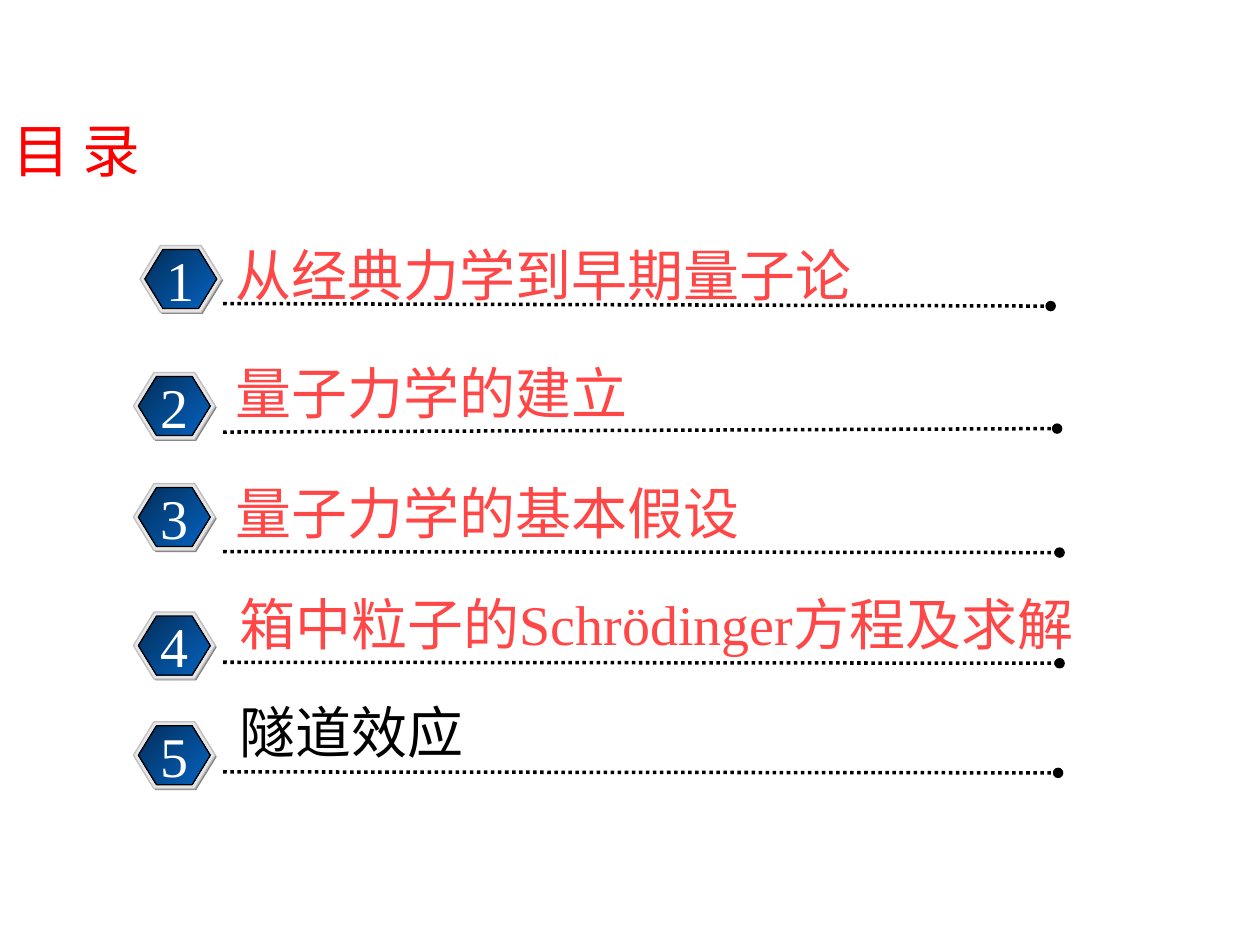
from dataclasses import dataclass

from lxml import etree
from pptx import Presentation
from pptx import util as u
from pptx.dml import color
from pptx.enum import dml, shapes, text
from pptx.oxml import ns

Cm, Pt = u.Cm, u.Pt


@dataclass(frozen=True)
class Theme:
    title: str = "FF0000"
    topic: str = "FF4747"
    current: str = "000000"
    line: str = "000000"
    number: str = "FFFFFF"
    shade: str = "808080"
    rim: str = "E6E6E6"
    rim_line: str = "C0C0C0"
    core: tuple = ("022E59", "0563C1")
    title_font: str = "Calibri"
    body_font: str = "Times New Roman"
    title_size: int = 33
    body_size: int = 32


@dataclass(frozen=True)
class Entry:
    """One row; all places are in cm, relative to the row's top left corner."""
    label: str
    top: float
    width: float
    badge: tuple
    rule: tuple        # start y, end x, end y
    text_x: float = 1.81
    colour: str = Theme.topic


THEME = Theme()
ROW_X = 2.69
RULE_X = 1.81
TEXT_H = 1.63
ENTRIES = [
    Entry("从经典力学到早期量子论", 4.72, 17.98, (0.13, 0.23), (1.4, 18.49, 1.45)),
    Entry("量子力学的建立", 7.11, 13.54, (0, 0.4), (1.6, 18.62, 1.53)),
    Entry("量子力学的基本假设", 9.53, 17.73, (0, 0.22), (1.59, 18.67, 1.61)),
    Entry("箱中粒子的Schrödinger方程及求解", 11.76, 17.93, (0, 0.58),
          (1.59, 18.67, 1.61), 1.88),
    Entry("隧道效应", 13.94, 14.94, (0, 0.61), (1.62, 18.64, 1.64), 1.88,
          THEME.current),
]


def rgb(value):
    return color.RGBColor.from_string(value)


def write(s, content, colour, font=THEME.body_font, size=THEME.body_size,
          align=text.PP_ALIGN.LEFT, anchor=text.MSO_ANCHOR.TOP, wrap=True,
          spacing=None):
    tf = s.text_frame
    tf.word_wrap = wrap
    tf.vertical_anchor = anchor
    p = tf.paragraphs[0]
    p.alignment = align
    if spacing:
        p.line_spacing = spacing
    r = p.add_run()
    r.text = content
    r.font.name = font
    r.font.size = Pt(size)
    r.font.color.rgb = rgb(colour)


def add_title(slide, x, y, w, h):
    s = slide.shapes.add_textbox(Cm(x), Cm(y), Cm(w), Cm(h))
    write(s, "目 录", THEME.title, THEME.title_font, THEME.title_size,
          anchor=text.MSO_ANCHOR.MIDDLE, spacing=0.9)


def add_hexagon(group, x, y, w, h, fill, line=None):
    s = group.shapes.add_shape(shapes.MSO_SHAPE.HEXAGON, Cm(x), Cm(y), Cm(w), Cm(h))
    s.shadow.inherit = False
    s.adjustments[0] = 0.307
    if isinstance(fill, tuple):
        s.fill.gradient()
        s.fill.gradient_angle = 315
        for stop, position, value in zip(s.fill.gradient_stops, (0, 1), fill):
            stop.position = position
            stop.color.rgb = rgb(value)
    else:
        s.fill.solid()
        s.fill.fore_color.rgb = rgb(fill)
    if line:
        s.line.color.rgb = rgb(line)
        s.line.width = Pt(0.75)
    else:
        s.line.fill.background()
    return s


def add_badge(slide, x, y, w, h, number):
    group = slide.shapes.add_group_shape()
    add_hexagon(group, x + 0.03, y + 0.03, w, h, THEME.shade)
    add_hexagon(group, x, y, w, h, THEME.rim, THEME.rim_line)
    core = add_hexagon(group, x + 0.1, y + 0.08, w - 0.2, h - 0.16,
                       THEME.core, THEME.line)
    write(core, str(number), THEME.number, align=text.PP_ALIGN.CENTER,
          anchor=text.MSO_ANCHOR.MIDDLE, wrap=False)


def add_rule(slide, x1, y1, x2, y2):
    s = slide.shapes.add_connector(shapes.MSO_CONNECTOR.STRAIGHT,
                                   Cm(x1), Cm(y1), Cm(x2), Cm(y2))
    s.line.color.rgb = rgb(THEME.line)
    s.line.width = Pt(2)
    s.line.dash_style = dml.MSO_LINE.ROUND_DOT
    # Dot at the far end, no shadow
    etree.SubElement(s.line._get_or_add_ln(), ns.qn("a:tailEnd"), type="oval")
    etree.SubElement(s._element.spPr, ns.qn("a:effectLst"))


def add_entry(slide, x, y, number, entry):
    start_y, end_x, end_y = entry.rule
    add_rule(slide, x + RULE_X, y + start_y, x + end_x, y + end_y)
    s = slide.shapes.add_textbox(Cm(x + entry.text_x), Cm(y),
                                 Cm(entry.width), Cm(TEXT_H))
    write(s, entry.label, entry.colour)
    badge_x, badge_y = entry.badge
    add_badge(slide, x + badge_x, y + badge_y, 1.65, 1.35, number)


def main():
    prs = Presentation()
    prs.slide_width, prs.slide_height = Cm(25.4), Cm(19.05)
    slide = prs.slides.add_slide(prs.slide_layouts[6])

    # Heading
    add_title(slide, 0, 1.52, 23.72, 3.18)

    # Numbered contents
    for number, entry in enumerate(ENTRIES, 1):
        add_entry(slide, ROW_X, entry.top, number, entry)

    prs.save("out.pptx")


if __name__ == "__main__":
    main()
